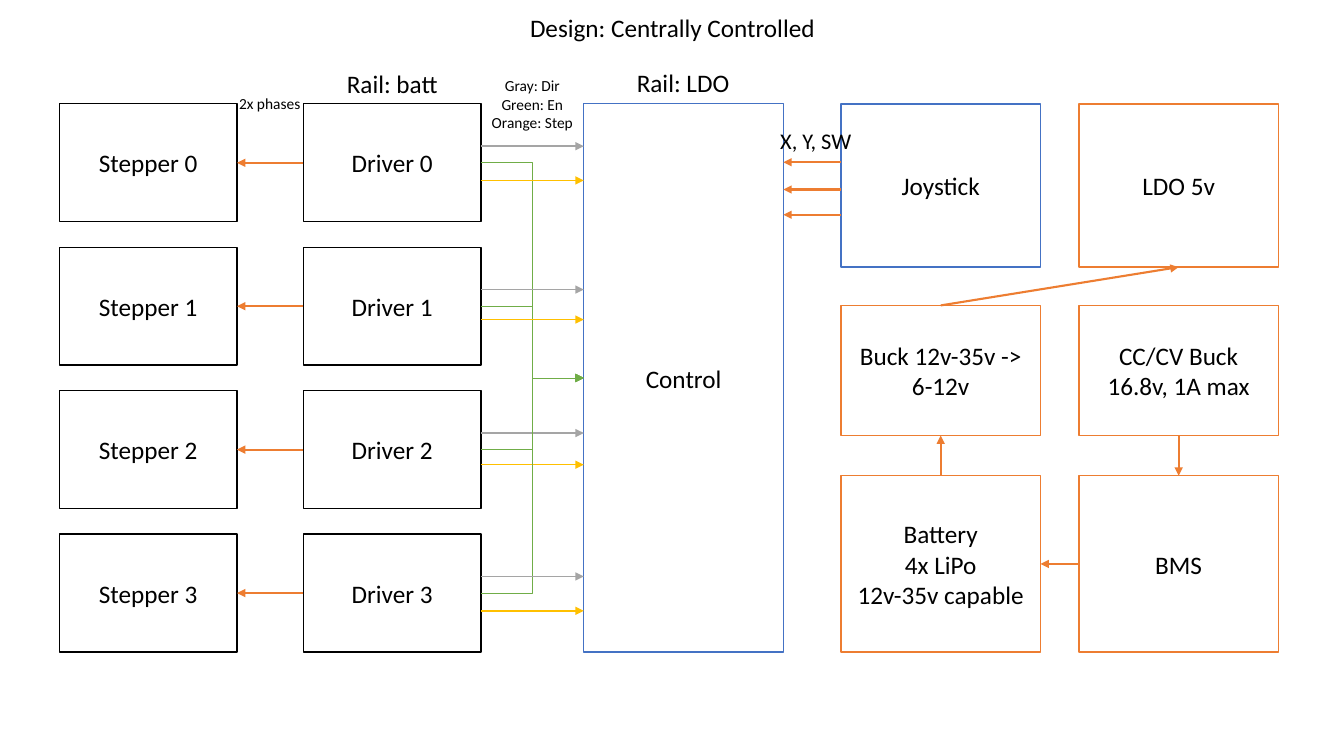
import pptx
import pptx.util
import pptx.dml.color
import pptx.enum.shapes
import pptx.enum.text
import pptx.oxml.ns
import lxml.etree

Inches, Pt = pptx.util.Inches, pptx.util.Pt
RGBColor = pptx.dml.color.RGBColor
CONNECTOR = pptx.enum.shapes.MSO_CONNECTOR
ALIGN = pptx.enum.text.PP_ALIGN
qn = pptx.oxml.ns.qn

BLACK = RGBColor(0x00, 0x00, 0x00)
WHITE = RGBColor(0xFF, 0xFF, 0xFF)
BLUE = RGBColor(0x44, 0x72, 0xC4)
ORANGE = RGBColor(0xED, 0x7D, 0x31)
GREEN = RGBColor(0x70, 0xAD, 0x47)
GRAY = RGBColor(0xA5, 0xA5, 0xA5)
GOLD = RGBColor(0xFF, 0xC0, 0x00)

# Connection sites of a rectangle
TOP, LEFT, BOTTOM, RIGHT = range(4)

deck = pptx.Presentation()
deck.slide_width, deck.slide_height = Inches(13.33), Inches(7.5)
slide = deck.slides.add_slide(deck.slide_layouts[6])


def add_text(text, x, y, w, h, size=18, outline=None, align=ALIGN.CENTER, wrap=True):
    """Add an outlined block, or a plain label when no outline is given."""
    place = [Inches(v) for v in (x, y, w, h)]
    if outline is None:
        block = slide.shapes.add_textbox(*place)
    else:
        block = slide.shapes.add_shape(pptx.enum.shapes.MSO_SHAPE.RECTANGLE, *place)
        block.shadow.inherit = False
        block.fill.solid()
        block.fill.fore_color.rgb = WHITE
        block.line.color.rgb = outline
        block.line.width = Pt(1)
        block.text_frame.vertical_anchor = pptx.enum.text.MSO_ANCHOR.MIDDLE
    block.text_frame.word_wrap = wrap
    block.text_frame.text = text
    for paragraph in block.text_frame.paragraphs:
        paragraph.alignment = align
        paragraph.font.name = "Calibri"
        paragraph.font.size = Pt(size)
        paragraph.font.color.rgb = BLACK
    return block


def add_arrow(color, weight, points=(0, 0, 0, 0), glue=None, kind=CONNECTOR.STRAIGHT):
    """Draw an arrow between points, or between sites of two blocks."""
    arrow = slide.shapes.add_connector(kind, *[Inches(v) for v in points])
    if glue:
        source, source_site, target, target_site = glue
        arrow.begin_connect(source, source_site)
        arrow.end_connect(target, target_site)
    arrow.line.color.rgb = color
    arrow.line.width = Pt(weight)
    lxml.etree.SubElement(arrow.line._ln, qn("a:tailEnd"), type="triangle")
    lxml.etree.SubElement(arrow._element.spPr, qn("a:effectLst"))


# Controller
ROW_TOP = 1.03
DRIVER_RIGHT, CONTROLLER_LEFT = 4.77, 5.79
controller = add_text("Control", CONTROLLER_LEFT, ROW_TOP, 1.98, 5.44, outline=BLUE)

# Stepper and driver rows with their signals
ROW_PITCH = 1.423
STEP_LINES = (1.79, 3.17, 4.61, 6.06)
for row, step_y in enumerate(STEP_LINES):
    y = ROW_TOP + row * ROW_PITCH
    stepper = add_text(f"Stepper {row}", 0.59, y, 1.76, 1.17, outline=BLACK)
    driver = add_text(f"Driver {row}", 3.01, y, 1.76, 1.17, outline=BLACK)
    add_arrow(ORANGE, 1.5, glue=(driver, LEFT, stepper, RIGHT))
    add_arrow(GREEN, 0.5, glue=(driver, RIGHT, controller, LEFT), kind=CONNECTOR.ELBOW)
    for color, signal_y in ((GRAY, y + 0.42), (GOLD, step_y)):
        add_arrow(color, 1, (DRIVER_RIGHT, signal_y, CONTROLLER_LEFT, signal_y))

# Joystick and power blocks
INNER, OUTER = 8.34, 10.7
blocks = {}
for name, text, x, y, h, outline in (
    ("joystick", "Joystick", INNER, ROW_TOP, 1.62, BLUE),
    ("ldo", "LDO 5v", OUTER, ROW_TOP, 1.62, ORANGE),
    ("buck", "Buck 12v-35v -> 6-12v", INNER, 3.03, 1.29, ORANGE),
    ("charger", "CC/CV Buck\n16.8v, 1A max", OUTER, 3.03, 1.29, ORANGE),
    ("battery", "Battery\n4x LiPo\n12v-35v capable", INNER, 4.72, 1.75, ORANGE),
    ("bms", "BMS", OUTER, 4.72, 1.75, ORANGE),
):
    blocks[name] = add_text(text, x, y, 1.98, h, outline=outline)

# Power path
for source, source_site, target, target_site in (
    ("charger", BOTTOM, "bms", TOP),
    ("bms", LEFT, "battery", RIGHT),
    ("battery", TOP, "buck", BOTTOM),
    ("buck", TOP, "ldo", BOTTOM),
):
    add_arrow(ORANGE, 1.5, glue=(blocks[source], source_site, blocks[target], target_site))

# Joystick signals
for y in (1.61, 1.88, 2.13):
    add_arrow(ORANGE, 1.5, (INNER, y, 7.77, y))

# Labels
add_text("Design: Centrally Controlled", 5.14, 0.07, 3.06, 0.4, wrap=False)
add_text("Rail: batt", 3.33, 0.63, 1.12, 0.4, wrap=False)
add_text("Rail: LDO", 6.21, 0.62, 1.13, 0.4, wrap=False)
add_text("2x phases", 2.27, 0.88, 0.81, 0.29, size=11, wrap=False)
add_text("Gray: Dir\nGreen: En\nOrange: Step", DRIVER_RIGHT, 0.71, 1.02, 0.66, size=11, wrap=False)
add_text("X, Y, SW", 7.64, 1.21, 1.02, 0.37, size=16, align=ALIGN.LEFT)

deck.save("out.pptx")
